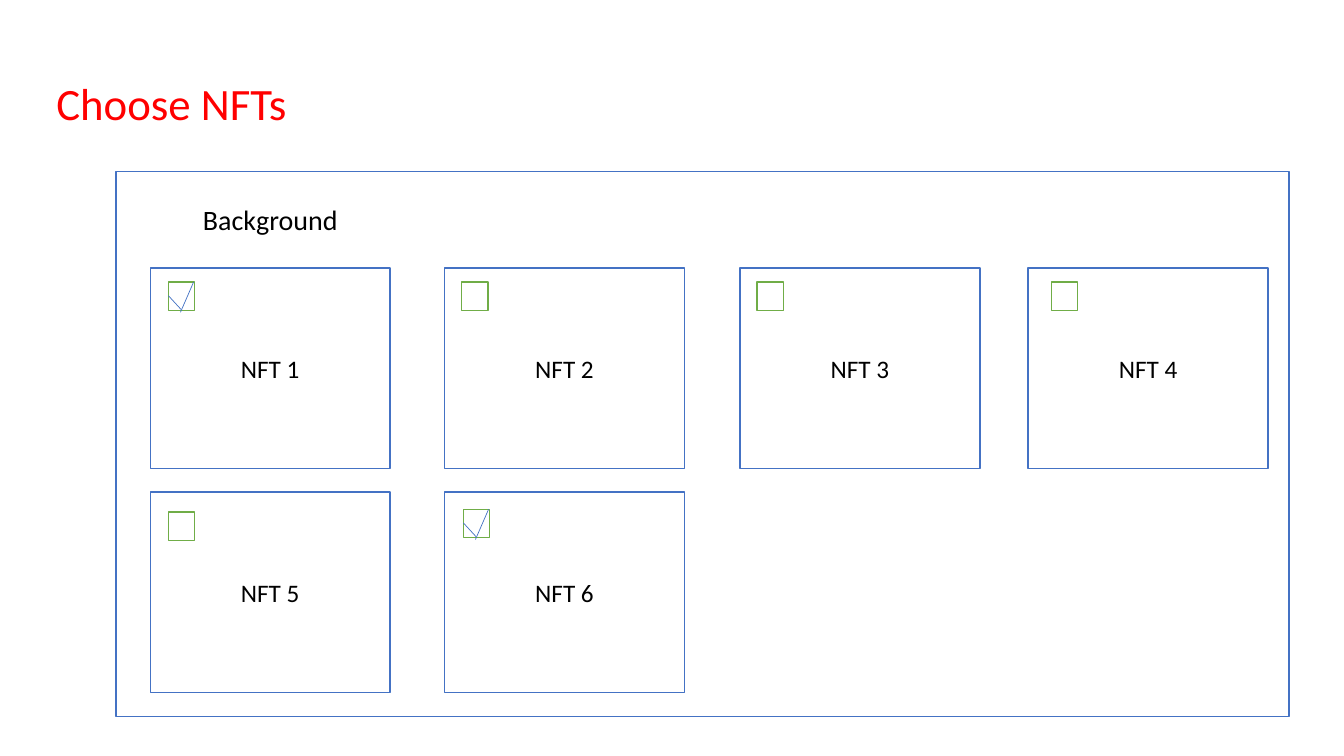
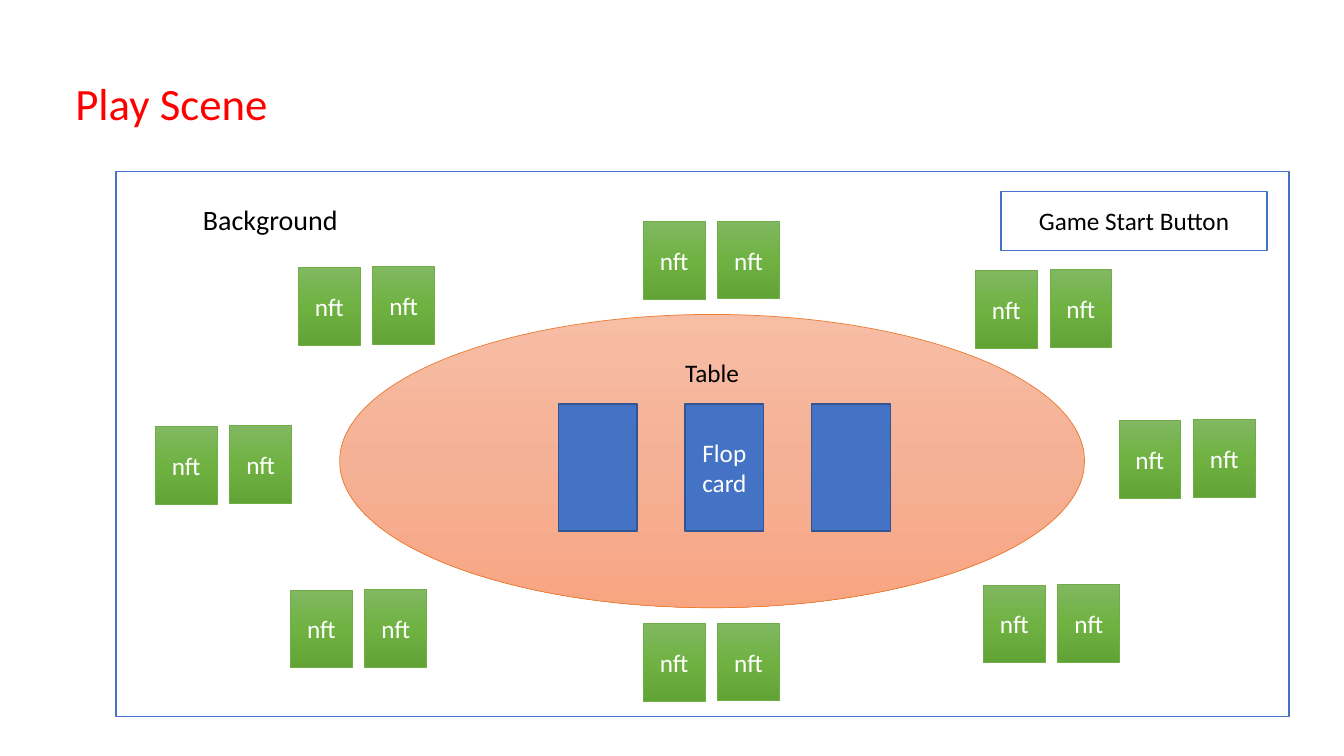
"""Build two wireframe slides of a card game: choosing NFTs and the play scene."""
from copy import deepcopy

from lxml import etree
from pptx import Presentation
from pptx.dml.color import RGBColor
from pptx.enum.shapes import MSO_CONNECTOR, MSO_SHAPE
from pptx.enum.text import MSO_ANCHOR, MSO_AUTO_SIZE, PP_ALIGN
from pptx.oxml.ns import qn
from pptx.util import Pt

RECT, OVAL, LINE = MSO_SHAPE.RECTANGLE, MSO_SHAPE.OVAL, MSO_CONNECTOR.STRAIGHT
TOP, MIDDLE, CENTER = MSO_ANCHOR.TOP, MSO_ANCHOR.MIDDLE, PP_ALIGN.CENTER
NO_FIT = MSO_AUTO_SIZE.NONE
FONT = "Calibri"
COLORS = {
    "title": "FF0000", "text": "000000", "white": "FFFFFF", "blue": "4472C4",
    "navy": "325491", "green": "70AD47", "orange": "ED7D31",
}
GREEN_FADE = ("81B861", "6FB242", "62A336")
ORANGE_FADE = ("F7BDA5", "F5B196", "F8A582")

TITLES = ("Choose NFTs", "Play Scene")
TITLE_BOX = (18, 54.7, 209, 47)
LABEL_BOX = (88.6, 144, 209, 47)
FRAME = (82.8, 122.4, 838, 389.5)

CARD_LEFTS = (107.3, 317.5, 528.5, 734.4)
CARD_TOPS = (191.5, 351.4)
CARD_SIZE = (171.4, 143.3)
CHECK_SIZE = (18.7, 20.2)
CHECKS = [
    ("NFT 1", 13, 10, True), ("NFT 2", 12.3, 10, False),
    ("NFT 3", 12.3, 10, False), ("NFT 4", 16.6, 10, False),
    ("NFT 5", 13, 14.4, False), ("NFT 6", 13.5, 12.4, True),
]
TICK = [((0, 9.7), (9, 19.5)), ((8.6, 21.6), (18, 0))]

BUTTON = ("Game Start Button", (715, 136.8, 190, 42))
TABLE = ("Table", (242.6, 224.6, 532.1, 209.5))
FLOP = ("", "Flop card", "")
FLOP_LEFT, FLOP_TOP, FLOP_PITCH = 398.9, 288.7, 90.4
FLOP_SIZE = (56.2, 90.7)
HANDS = [
    (459.4, 158.4), (459.4, 445.5), (799.2, 300.2), (110.9, 304.6),
    (696.7, 193.2), (702.4, 417.8), (207.4, 421.4), (213.1, 191),
]
HAND_STEP = (53.2, -0.5)
HAND_SIZE = (44.2, 55.6)


def rgb(name):
    return RGBColor.from_string(COLORS.get(name, name))


def write(tf, text, size, color):
    p = tf.paragraphs[0]
    p.alignment = CENTER
    r = p.add_run()
    r.text = text
    r.font.name, r.font.size = FONT, Pt(size)
    r.font.color.rgb = rgb(color)
    return p


def write_heading(sp, text, size, color):
    tf = sp.text_frame
    tf.word_wrap, tf.auto_size, tf.vertical_anchor = True, NO_FIT, TOP
    p = write(tf, text, size, color)
    p.line_spacing, p.space_before = 0.9, Pt(10)


def fade(sp, stops):
    sp.fill.gradient()
    gs_list = sp._element.spPr.find(".//" + qn("a:gsLst"))
    gs_list.insert(1, deepcopy(gs_list[0]))
    sp.fill.gradient_angle = 270
    for i, (stop, color) in enumerate(zip(sp.fill.gradient_stops, stops)):
        stop.position = i / 2
        stop.color.rgb = rgb(color)


def add_box(shapes, box, text="", fill="white", line="blue", color="text",
            width=1, kind=RECT):
    sp = shapes.add_shape(kind, *map(Pt, box))
    sp.shadow.inherit = False
    if isinstance(fill, tuple):
        fade(sp, fill)
    else:
        sp.fill.solid()
        sp.fill.fore_color.rgb = rgb(fill)
    sp.line.color.rgb, sp.line.width = rgb(line), Pt(width)
    if text:
        sp.text_frame.vertical_anchor = MIDDLE
        write(sp.text_frame, text, 18, color)
    return sp


def add_checkbox(s, left, top, ticked):
    shapes = s.shapes.add_group_shape().shapes if ticked else s.shapes
    add_box(shapes, (left, top, *CHECK_SIZE), line="green")
    for (x1, y1), (x2, y2) in TICK if ticked else ():
        c = shapes.add_connector(LINE, Pt(left + x1), Pt(top + y1),
                                 Pt(left + x2), Pt(top + y2))
        c.line.color.rgb, c.line.width = rgb("blue"), Pt(0.5)
        etree.SubElement(c._element.spPr, qn("a:effectLst"))


def add_scene(prs, title):
    s = prs.slides.add_slide(prs.slide_layouts[5])
    sp = s.shapes.title
    sp.left, sp.top, sp.width, sp.height = map(Pt, TITLE_BOX)
    write_heading(sp, title, 32, "title")
    add_box(s.shapes, FRAME)
    label = s.shapes.add_textbox(*map(Pt, LABEL_BOX))
    write_heading(label, "Background", 20, "text")
    return s


def build_choice(s):
    for i, (name, dx, dy, ticked) in enumerate(CHECKS):
        row, col = divmod(i, len(CARD_LEFTS))
        left, top = CARD_LEFTS[col], CARD_TOPS[row]
        add_box(s.shapes, (left, top, *CARD_SIZE), name)
        add_checkbox(s, left + dx, top + dy, ticked)


def build_play(s):
    text, box = BUTTON
    add_box(s.shapes, box, text)
    text, box = TABLE
    table = add_box(s.shapes, box, text, ORANGE_FADE, "orange", width=0.5, kind=OVAL)
    table.text_frame.vertical_anchor = TOP
    table.text_frame.margin_top = Pt(0)
    for i, text in enumerate(FLOP):
        add_box(s.shapes, (FLOP_LEFT + i * FLOP_PITCH, FLOP_TOP, *FLOP_SIZE),
                text, "blue", "navy", "white")
    dx, dy = HAND_STEP
    for left, top in HANDS:
        for i in range(2):
            add_box(s.shapes, (left + i * dx, top + i * dy, *HAND_SIZE),
                    "nft", GREEN_FADE, "green", "white", 0.5)


prs = Presentation()
prs.slide_width, prs.slide_height = Pt(960), Pt(540)
for title, build in zip(TITLES, (build_choice, build_play)):
    build(add_scene(prs, title))
prs.save("out.pptx")
